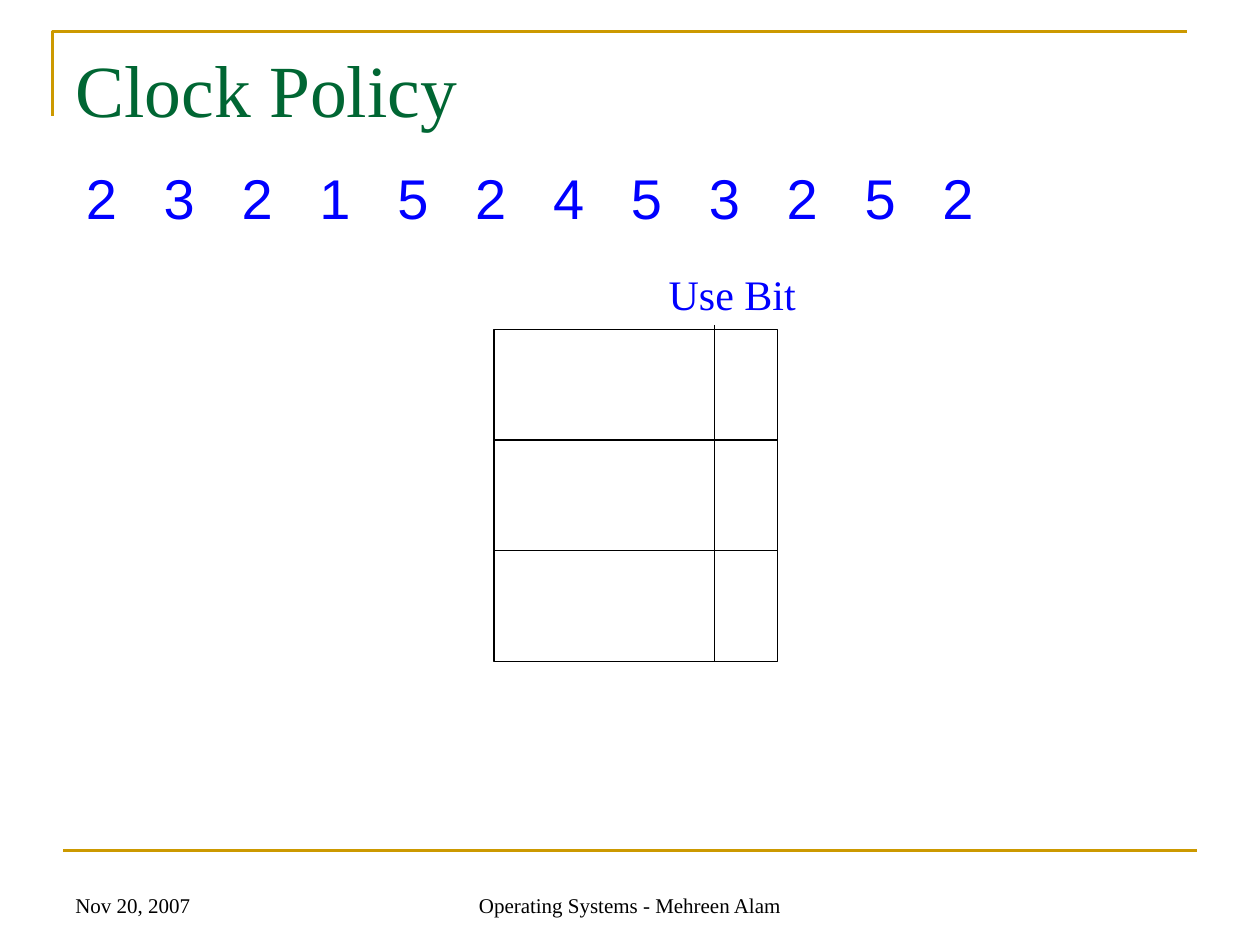
from lxml.etree import SubElement
from pptx import Presentation
from pptx.dml.color import RGBColor
from pptx.enum.shapes import MSO_CONNECTOR, MSO_SHAPE
from pptx.enum.text import MSO_ANCHOR, PP_ALIGN
from pptx.oxml.ns import qn
from pptx.util import Cm, Pt

GOLD, GREEN, BLUE, BLACK = "CC9900", "006633", "0000FF", "000000"
SERIF, SANS = "Times New Roman", "Arial"
REFERENCES = [2, 3, 2, 1, 5, 2, 4, 5, 3, 2, 5, 2]
REFERENCE_STEP = 1.57
FRAME_COUNT = 3
FRAME_LEFT, FRAME_TOP, FRAME_WIDTH, FRAME_HEIGHT = 9.96, 6.64, 5.72, 2.23
USE_BIT_LEFT = 14.4


def color(value):
    return RGBColor.from_string(value)


def style_line(line, value, width):
    line.color.rgb = color(value)
    line.width = Pt(width)


def add_text(page, text, place, size, value, font=SERIF, align=PP_ALIGN.LEFT, **frame_format):
    box = page.shapes.add_textbox(*map(Cm, place))
    frame = box.text_frame
    for name, setting in {"word_wrap": True, **frame_format}.items():
        setattr(frame, name, setting)
    para = frame.paragraphs[0]
    para.alignment = align
    span = para.add_run()
    span.text = text
    for name, setting in {"name": font, "size": Pt(size)}.items():
        setattr(span.font, name, setting)
    span.font.color.rgb = color(value)
    return para


def add_tab_stops(para, step, count):
    stops = SubElement(para._p.get_or_add_pPr(), qn("a:tabLst"))
    for number in range(1, count + 1):
        SubElement(stops, qn("a:tab"), pos=str(Cm(step * number)), algn="l")


def add_rule(page, start, end, value, width):
    rule = page.shapes.add_connector(MSO_CONNECTOR.STRAIGHT, *map(Cm, start + end))
    style_line(rule.line, value, width)
    SubElement(rule._element.spPr, qn("a:effectLst"))


def add_corner(page, left, top, right, bottom):
    builder = page.shapes.build_freeform(Cm(left), Cm(bottom))
    builder.add_line_segments([(Cm(left), Cm(top)), (Cm(right), Cm(top))], close=False)
    corner = builder.convert_to_shape()
    corner.fill.background()
    corner.shadow.inherit = False
    style_line(corner.line, GOLD, 1.5)


def add_frames(page):
    for index in range(FRAME_COUNT):
        top = FRAME_TOP + index * FRAME_HEIGHT
        place = (FRAME_LEFT, top, FRAME_WIDTH, FRAME_HEIGHT)
        frame = page.shapes.add_shape(MSO_SHAPE.RECTANGLE, *map(Cm, place))
        frame.fill.background()
        frame.shadow.inherit = False
        style_line(frame.line, BLACK, 0.75)
    bottom = FRAME_TOP + FRAME_COUNT * FRAME_HEIGHT
    add_rule(page, (USE_BIT_LEFT, 6.55), (USE_BIT_LEFT, bottom), BLACK, 0.75)


def main():
    deck = Presentation()
    deck.slide_width, deck.slide_height = Cm(25.4), Cm(19.05)
    page = deck.slides.add_slide(deck.slide_layouts[6])

    add_corner(page, 1.06, 0.64, 23.92, 2.33)
    add_rule(page, (1.27, 17.15), (24.13, 17.15), GOLD, 1.5)
    add_text(page, "Clock Policy", (1.27, 0.76, 22.86, 3.18), 42, GREEN)

    references = add_text(page, "\t".join(map(str, REFERENCES)),
                          (1.48, 3.18, 23.92, 1.63), 32, BLUE, SANS)
    add_tab_stops(references, REFERENCE_STEP, len(REFERENCES) - 1)

    add_frames(page)
    add_text(page, "Use Bit", (13.23, 5.29, 3.07, 1.27), 24, BLUE, word_wrap=False)

    footer = {"vertical_anchor": MSO_ANCHOR.BOTTOM}
    add_text(page, "Operating Systems - Mehreen Alam", (8.68, 17.36, 8.04, 1.27),
             12, BLACK, align=PP_ALIGN.CENTER, **footer)
    add_text(page, "Nov 20, 2007", (1.27, 17.36, 5.93, 1.27), 12, BLACK, **footer)

    deck.save("out.pptx")


if __name__ == "__main__":
    main()
